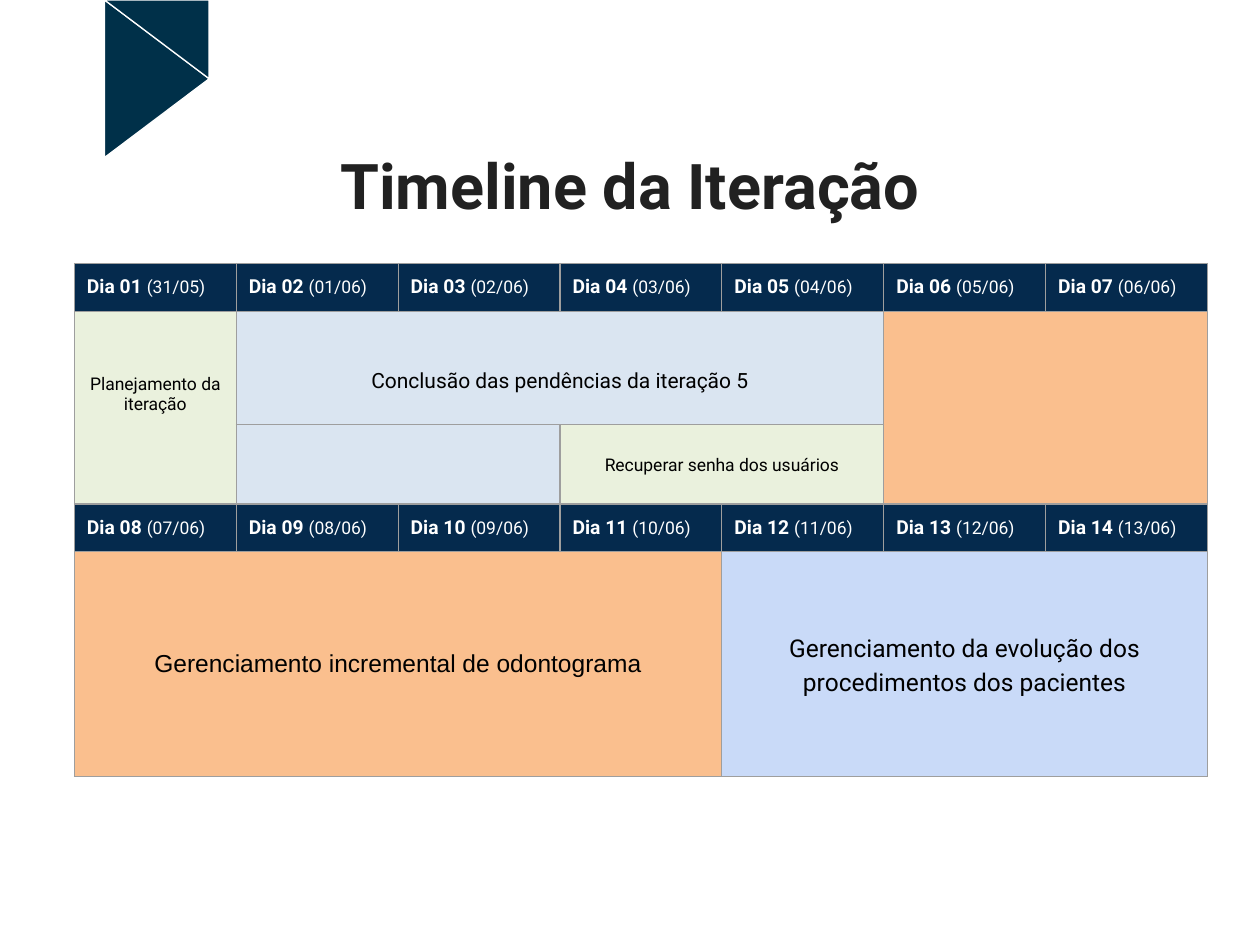
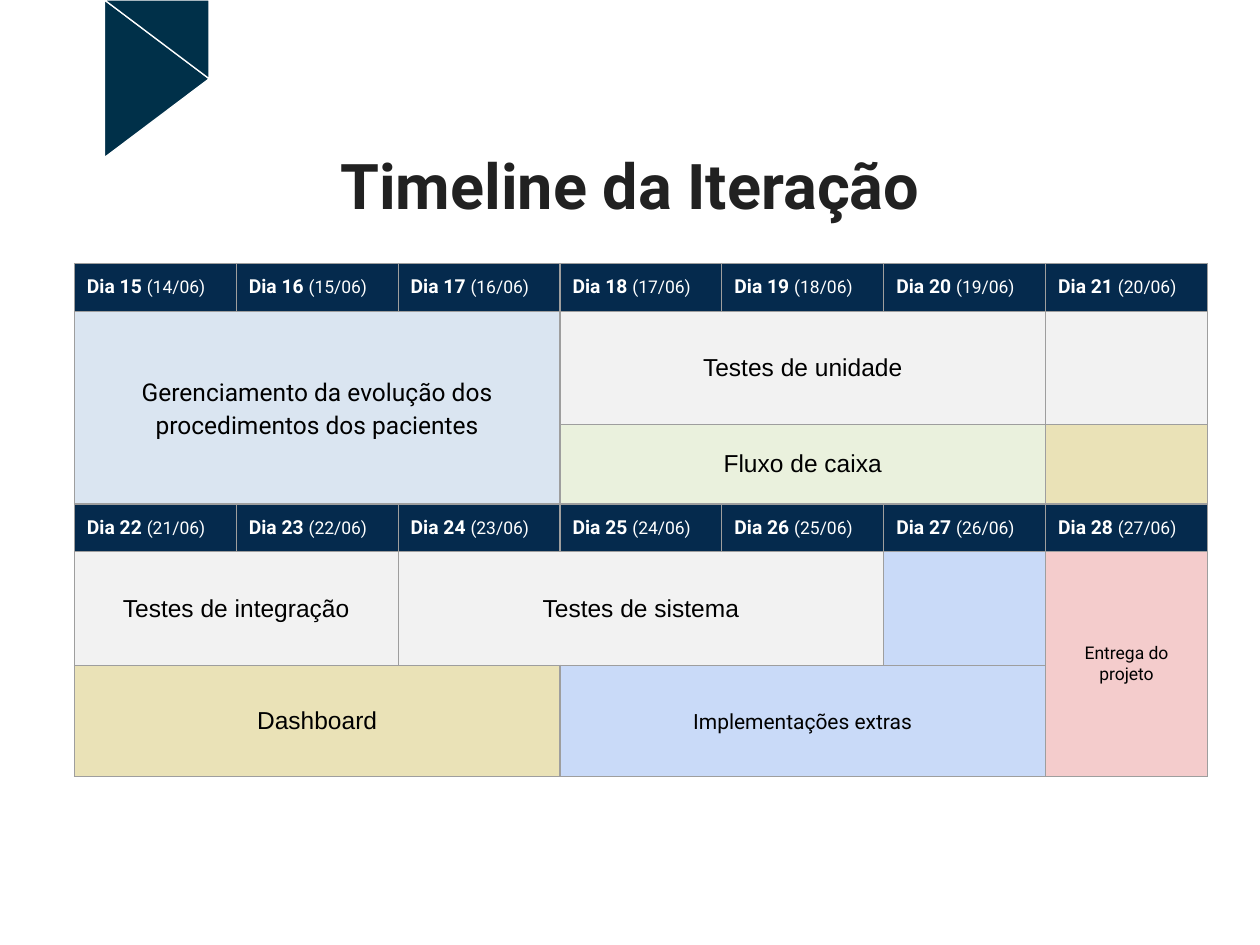
from lxml.etree import SubElement
from pptx import Presentation
from pptx.dml.color import RGBColor
from pptx.enum.shapes import MSO_SHAPE as SHAPE
from pptx.enum.text import MSO_ANCHOR as ANCHOR, MSO_AUTO_SIZE as AUTO, PP_ALIGN as ALIGN
from pptx.oxml.ns import qn
from pptx.util import Inches, Pt

# Colours
WHITE = RGBColor(0xFF, 0xFF, 0xFF)
BLACK = RGBColor(0, 0, 0)
INK = RGBColor(0x21, 0x21, 0x21)
RIBBON = RGBColor(0x00, 0x30, 0x49)
NAVY = RGBColor(0x05, 0x2A, 0x4D)
GREY = RGBColor(0x9E, 0x9E, 0x9E)
GREEN = RGBColor(0xEA, 0xF1, 0xDD)
PALE_BLUE = RGBColor(0xDA, 0xE5, 0xF1)
BLUE = RGBColor(0xC9, 0xDA, 0xF8)
ORANGE = RGBColor(0xFA, 0xBF, 0x8E)
SILVER = RGBColor(0xF2, 0xF2, 0xF2)
SAND = RGBColor(0xEA, 0xE2, 0xB7)
PINK = RGBColor(0xF4, 0xCC, 0xCC)

# Calendar grid, in hundredths of the slide's width and height
DAYS = 7
TABLE_LEFT, TABLE_TOP, DAY_WIDTH = 5.9, 27.87, 12.85
ROW_HEIGHTS = [5.07, 12, 8.4, 5.07, 12, 11.73]
HEADER_ROWS = (0, 3)
MARGIN = 0.1


class Deck:
    """Shared style, and the slide being built."""

    def __init__(self, prs):
        self.prs = prs
        self.s = None

    def x(self, cols):
        return int(self.prs.slide_width * cols / 100)

    def y(self, rows):
        return int(self.prs.slide_height * rows / 100)

    def box(self, left, top, width, height):
        return self.x(left), self.y(top), self.x(width), self.y(height)

    def new_slide(self, title):
        self.s = self.prs.slides.add_slide(self.prs.slide_layouts[5])
        self.ribbon()
        self.title(title)

    def run(self, p, text, size, color=BLACK, font="Roboto", bold=False):
        r = p.add_run()
        r.text = text
        r.font.name, r.font.size, r.font.bold = font, Pt(size), bold
        r.font.color.rgb = color

    def title(self, text):
        sp = self.s.shapes.title
        sp.left, sp.top, sp.width, sp.height = self.box(8.35, 14, 83.3, 10.13)
        tf = sp.text_frame
        tf.auto_size = AUTO.NONE
        tf.vertical_anchor = ANCHOR.BOTTOM
        p = tf.paragraphs[0]
        p.alignment = ALIGN.CENTER
        self.run(p, text, 36, INK, bold=True)

    def triangle(self, kind, box, rotation):
        sp = self.s.shapes.add_shape(kind, *self.box(*box))
        sp.rotation = rotation
        sp.shadow.inherit = False
        sp.fill.solid()
        sp.fill.fore_color.rgb = RIBBON
        sp.line.color.rgb = WHITE
        sp.line.width = Pt(0.75)

    def ribbon(self):
        self.triangle(SHAPE.ISOSCELES_TRIANGLE, (6.2, 2.8, 12.5, 11.07), 90)
        self.triangle(SHAPE.RIGHT_TRIANGLE, (8.3, 0, 8.3, 8.33), 180)

    def borders(self, cell):
        tcPr = cell._tc.get_or_add_tcPr()
        for i, side in enumerate(("a:lnL", "a:lnR", "a:lnT", "a:lnB")):
            ln = SubElement(tcPr, qn(side), w=str(Pt(0.75)))
            tcPr.insert(i, ln)
            fill = SubElement(ln, qn("a:solidFill"))
            SubElement(fill, qn("a:srgbClr"), val=str(GREY))

    def paint(self, cell, color):
        cell.fill.solid()
        cell.fill.fore_color.rgb = color

    def day(self, cell, number):
        date = "31/05" if number == 1 else f"{number - 1:02}/06"
        self.paint(cell, NAVY)
        p = cell.text_frame.paragraphs[0]
        self.run(p, f"Dia {number:02} ", 11, WHITE, bold=True)
        self.run(p, f"({date})", 10, WHITE)

    def task(self, table, row, col, rows, cols, color, text="", size=14,
             font="Roboto", spacing=None, extra_top=0, extra_bottom=0):
        cell = table.cell(row, col)
        if rows * cols > 1:
            cell.merge(table.cell(row + rows - 1, col + cols - 1))
        self.paint(cell, color)
        if not text:
            return
        cell.vertical_anchor = ANCHOR.MIDDLE
        cell.margin_top = Inches(MARGIN + extra_top)
        cell.margin_bottom = Inches(MARGIN + extra_bottom)
        p = cell.text_frame.paragraphs[0]
        p.alignment = ALIGN.CENTER
        if spacing:
            p.line_spacing = spacing
        self.run(p, text, size, font=font)

    def calendar(self, first_day, tasks):
        box = self.box(TABLE_LEFT, TABLE_TOP, DAY_WIDTH * DAYS, sum(ROW_HEIGHTS))
        table = self.s.shapes.add_table(len(ROW_HEIGHTS), DAYS, *box).table
        table.first_row = table.horz_banding = False
        for col in table.columns:
            col.width = self.x(DAY_WIDTH)
        for row, height in zip(table.rows, ROW_HEIGHTS):
            row.height = self.y(height)
        for cell in table.iter_cells():
            cell.margin_left = cell.margin_right = Inches(MARGIN)
            cell.margin_top = cell.margin_bottom = Inches(MARGIN)
            self.borders(cell)
        for week, row in enumerate(HEADER_ROWS):
            for col in range(DAYS):
                self.day(table.cell(row, col), first_day + week * DAYS + col)
        for place, color, options in tasks:
            self.task(table, *place, color, **options)


def label(text, **options):
    return dict(text=text, **options)


EVOLUTION = label("Gerenciamento da evolução dos procedimentos dos pacientes", spacing=1.15)

# Tasks: (row, column, rows spanned, columns spanned), colour, text options
FIRST_WEEKS = [
    ((1, 0, 2, 1), GREEN, label("Planejamento da iteração", size=10, extra_bottom=0.21)),
    ((1, 1, 1, 4), PALE_BLUE, label("Conclusão das pendências da iteração 5", size=12,
                                    spacing=1.15, extra_top=0.19)),
    ((1, 5, 2, 2), ORANGE, {}),
    ((2, 1, 1, 2), PALE_BLUE, {}),
    ((2, 3, 1, 2), GREEN, label("Recuperar senha dos usuários", size=10, spacing=1.15)),
    ((4, 0, 2, 4), ORANGE, label("Gerenciamento incremental de odontograma", font="Arial")),
    ((4, 4, 2, 3), BLUE, EVOLUTION),
]
LAST_WEEKS = [
    ((1, 0, 2, 3), PALE_BLUE, EVOLUTION),
    ((1, 3, 1, 3), SILVER, label("Testes de unidade", font="Arial")),
    ((1, 6, 1, 1), SILVER, {}),
    ((2, 3, 1, 3), GREEN, label("Fluxo de caixa", font="Arial")),
    ((2, 6, 1, 1), SAND, {}),
    ((4, 0, 1, 2), SILVER, label("Testes de integração", font="Arial")),
    ((4, 2, 1, 3), SILVER, label("Testes de sistema", font="Arial")),
    ((4, 5, 1, 1), BLUE, {}),
    ((4, 6, 2, 1), PINK, label("Entrega do projeto", size=10)),
    ((5, 0, 1, 3), SAND, label("Dashboard", font="Arial")),
    ((5, 3, 1, 3), BLUE, label("Implementações extras", size=12, spacing=1.15)),
]


def main():
    prs = Presentation()
    prs.slide_width, prs.slide_height = Inches(10), Inches(7.5)
    deck = Deck(prs)
    for first_day, tasks in ((1, FIRST_WEEKS), (15, LAST_WEEKS)):
        deck.new_slide("Timeline da Iteração")
        deck.calendar(first_day, tasks)
    prs.save("out.pptx")


if __name__ == "__main__":
    main()
